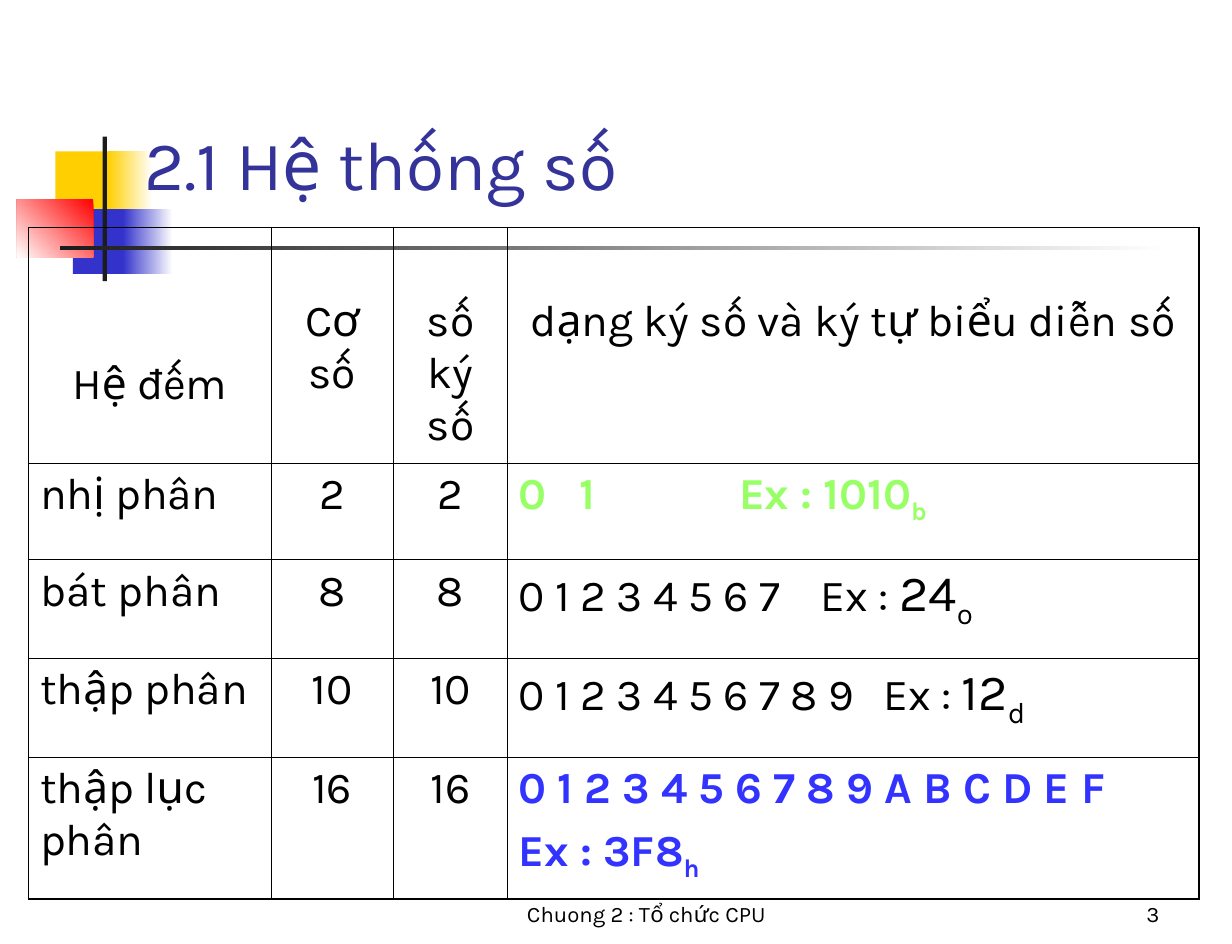
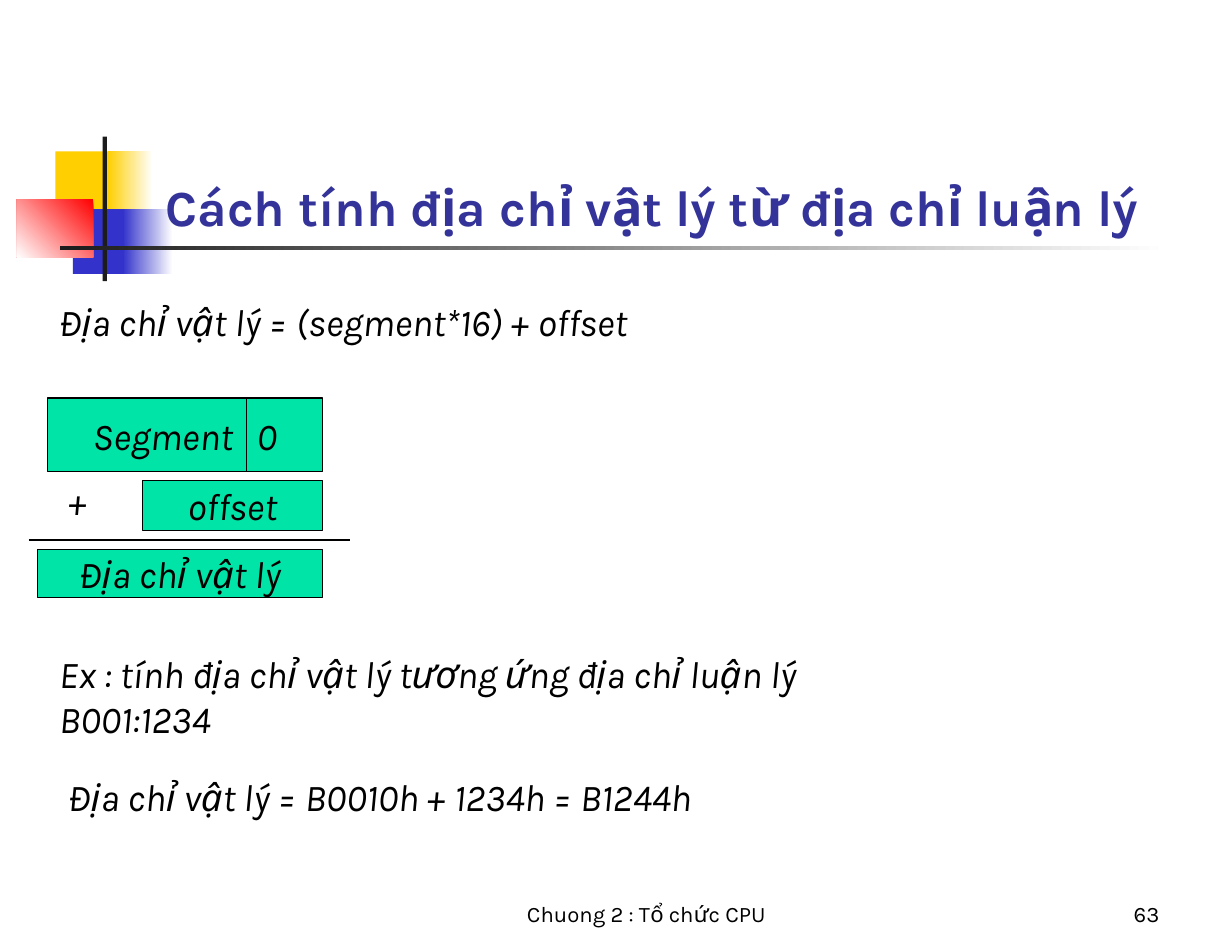
from typing import NamedTuple

import pptx
import pptx.dml.color
import pptx.enum.shapes
import pptx.enum.text
import pptx.oxml
import pptx.oxml.ns
import pptx.util
from pptx.dml.color import RGBColor
from pptx.util import Cm, Pt

FONT = "Karla"
BLACK = RGBColor(0x00, 0x00, 0x00)
WHITE = RGBColor(0xFF, 0xFF, 0xFF)
CHARCOAL = RGBColor(0x1C, 0x1C, 0x1C)
YELLOW = RGBColor(0xFF, 0xCF, 0x01)
BLUE = RGBColor(0x33, 0x33, 0xCC)
RED = RGBColor(0xFF, 0x00, 0x00)
NAVY = RGBColor(0x33, 0x33, 0x99)
LIME = RGBColor(0x99, 0xFF, 0x66)
BRIGHT_BLUE = RGBColor(0x33, 0x33, 0xFF)
MINT = RGBColor(0x00, 0xE4, 0xA8)

ALIGN = pptx.enum.text.PP_ALIGN
ANCHOR = pptx.enum.text.MSO_ANCHOR
RECT = pptx.enum.shapes.MSO_SHAPE.RECTANGLE
STRAIGHT = pptx.enum.shapes.MSO_CONNECTOR.STRAIGHT
FOOTER = "Chuong 2 : Tổ chức CPU"


class Box(NamedTuple):
    """Left, top, width and height in centimetres."""
    x: float
    y: float
    w: float
    h: float

    def emu(self) -> list[int]:
        return [Cm(v) for v in self]


class Style(NamedTuple):
    size: float
    color: RGBColor = BLACK
    bold: bool = False
    italic: bool = False
    align: ALIGN = ALIGN.LEFT


class Run(NamedTuple):
    text: str
    size: float | None = None
    subscript: bool = False


class Block(NamedTuple):
    """A decorative bar: plain, or a gradient from color to end."""
    box: Box
    color: RGBColor
    end: RGBColor | None = None
    angle: float = 180


class Label(NamedTuple):
    box: Box
    text: str


class NumberSystem(NamedTuple):
    name: str
    base: int
    lines: list[list[Run]]
    tabs: list[float]
    color: RGBColor = BLACK
    bold: bool = False


# Shared design
BLOCKS = [
    Block(Box(1.24, 3.38, 1.32, 1.45), YELLOW),
    Block(Box(2.41, 3.38, 1, 1.45), WHITE, YELLOW),
    Block(Box(1.63, 4.67, 1.27, 1.45), BLUE),
    Block(Box(2.74, 4.67, 1.12, 1.45), WHITE, BLUE),
    Block(Box(0.38, 4.45, 1.7, 1.3), RED, WHITE, 225),
    Block(Box(2.29, 3.05, 0.1, 3.23), CHARCOAL),
    Block(Box(1.35, 5.49, 24.74, 0.1), WHITE, CHARCOAL),
]
FOOTER_BOX = Box(10.08, 19.43, 8.71, 1.4)
NUMBER_BOX = Box(20.4, 19.43, 5.74, 1.4)
SMALL = Style(14)
BODY = Style(24, italic=True)
CELL = Style(28)

# Table of number systems
TABLE_BOX = Box(0.64, 5.08, 26.13, 15)
COLUMNS = [5.41, 2.74, 2.54, 15.44]
ROWS = [5.26, 2.16, 2.21, 2.21, 3.15]
HEADERS = [("Hệ đếm", 2.93), ("Cơ số", 1.53), ("số ký số", 1.53),
           ("dạng ký số và ký tự biểu diễn số", 1.53)]
SYSTEMS = [
    NumberSystem("nhị phân", 2,
                 [[Run("0\t1\tEx : 1010"), Run("b", subscript=True)]],
                 [1.35, 4.92], LIME, True),
    NumberSystem("bát phân", 8,
                 [[Run("0 1 2 3 4 5 6 7\tEx : "), Run("24", 32),
                   Run("o", 32, True)]], [6.74]),
    NumberSystem("thập phân", 10,
                 [[Run("0 1 2 3 4 5 6 7 8 9\tEx : "), Run("12", 32),
                   Run("d", 32, True)]], [8.14]),
    NumberSystem("thập lục phân", 16,
                 [[Run("0 1 2 3 4 5 6 7 8 9 A B C D E F")],
                  [Run("Ex : 3F8"), Run("h", subscript=True)]],
                 [], BRIGHT_BLUE, True),
]

# Address calculation
SEGMENT = Label(Box(1.07, 8.89, 6.13, 1.65), "Segment\t0")
ADDENDS = [
    Label(Box(3.18, 10.74, 4.02, 1.1), "offset"),
    Label(Box(0.84, 12.27, 6.36, 1.07), "Địa chỉ vật lý"),
]
NOTES = [
    Label(Box(1.07, 6.55, 18.62, 1.27),
          "Địa chỉ vật lý = (segment*16) + offset"),
    Label(Box(1.27, 10.54, 1.27, 1.27), "+"),
    Label(Box(1.07, 14.4, 18.21, 2.29),
          "Ex : tính địa chỉ vật lý tương ứng địa chỉ luận lý B001:1234"),
    Label(Box(1.27, 17.15, 18.62, 1.27),
          "Địa chỉ vật lý = B0010h + 1234h = B1244h"),
]


def write(tf, lines: list[list[Run]], style: Style, tabs=()) -> None:
    for i, runs in enumerate(lines):
        p = tf.add_paragraph() if i else tf.paragraphs[0]
        p.alignment = style.align
        if i:
            p.space_before = Pt(7)
        if tabs:
            tab_list = pptx.oxml.ns.qn("a:tabLst")
            stops = p._p.get_or_add_pPr().makeelement(tab_list, {})
            p._p.get_or_add_pPr().append(stops)
            for pos in tabs:
                stop = stops.makeelement(pptx.oxml.ns.qn("a:tab"),
                                         {"pos": str(Cm(pos)), "algn": "l"})
                stops.append(stop)
        p.font.name = FONT
        p.font.size = Pt(style.size)
        p.font.bold = style.bold
        p.font.italic = style.italic
        p.font.color.rgb = style.color
        for run in runs:
            r = p.add_run()
            r.text = run.text
            if run.size:
                r.font.size = Pt(run.size)
            if run.subscript:
                r._r.get_or_add_rPr().set("baseline", "-25000")


def add_text(s, box: Box, text: str, style: Style,
             anchor: ANCHOR = ANCHOR.TOP) -> None:
    tf = s.shapes.add_textbox(*box.emu()).text_frame
    tf.word_wrap = True
    tf.vertical_anchor = anchor
    write(tf, [[Run(text)]], style)


def add_block(s, block: Block) -> None:
    sp = s.shapes.add_shape(RECT, *block.box.emu())
    sp.shadow.inherit = False
    sp.line.fill.background()
    if block.end is None:
        sp.fill.solid()
        sp.fill.fore_color.rgb = block.color
        return
    sp.fill.gradient()
    sp.fill.gradient_angle = block.angle
    for stop, color in zip(sp.fill.gradient_stops, (block.color, block.end)):
        stop.color.rgb = color


def add_cell_box(s, label: Label, style: Style, tabs=()):
    sp = s.shapes.add_shape(RECT, *label.box.emu())
    sp.shadow.inherit = False
    sp.fill.solid()
    sp.fill.fore_color.rgb = MINT
    sp.line.color.rgb = BLACK
    sp.line.width = Pt(0.75)
    sp.text_frame.word_wrap = False
    sp.text_frame.vertical_anchor = ANCHOR.MIDDLE
    write(sp.text_frame, [[Run(label.text)]], style, tabs)
    return sp


def add_line(s, x1: float, y1: float, x2: float, y2: float) -> None:
    line = s.shapes.add_connector(STRAIGHT, Cm(x1), Cm(y1), Cm(x2), Cm(y2))
    line.line.color.rgb = BLACK
    line.line.width = Pt(0.75)
    sp_pr = line._element.spPr
    sp_pr.append(sp_pr.makeelement(pptx.oxml.ns.qn("a:effectLst"), {}))


def set_borders(cell, outer: dict[str, bool]) -> None:
    tc_pr = cell._tc.get_or_add_tcPr()
    for i, (side, is_outer) in enumerate(outer.items()):
        width = Pt(1.08 if is_outer else 0.45)
        tc_pr.insert(i, pptx.oxml.parse_xml(
            f'<a:ln{side} {pptx.oxml.ns.nsdecls("a")} w="{width}">'
            f'<a:solidFill><a:srgbClr val="{BLACK}"/></a:solidFill>'
            f'</a:ln{side}>'))


def add_slide(prs, title: str, box: Box, style: Style, number: int):
    s = prs.slides.add_slide(prs.slide_layouts[6])
    for block in BLOCKS:
        add_block(s, block)
    add_text(s, box, title, style, ANCHOR.BOTTOM)
    add_text(s, FOOTER_BOX, FOOTER, SMALL._replace(align=ALIGN.CENTER),
             ANCHOR.BOTTOM)
    add_text(s, NUMBER_BOX, str(number), SMALL._replace(align=ALIGN.RIGHT),
             ANCHOR.BOTTOM)
    return s


def add_systems_table(s) -> None:
    table = s.shapes.add_table(len(ROWS), len(COLUMNS),
                               *TABLE_BOX.emu()).table
    table.first_row = table.horz_banding = False
    for column, width in zip(table.columns, COLUMNS):
        column.width = Cm(width)
    for row, height in zip(table.rows, ROWS):
        row.height = Cm(height)

    centred = CELL._replace(align=ALIGN.CENTER)
    for col, (text, top) in enumerate(HEADERS):
        cell = table.cell(0, col)
        cell.margin_top = Cm(top)
        write(cell.text_frame, [[Run(text)]], centred)
    for row, system in enumerate(SYSTEMS, start=1):
        write(table.cell(row, 0).text_frame, [[Run(system.name)]], CELL)
        for col in (1, 2):
            write(table.cell(row, col).text_frame,
                  [[Run(str(system.base))]], centred)
        write(table.cell(row, 3).text_frame, system.lines,
              CELL._replace(color=system.color, bold=system.bold),
              system.tabs)

    last_row, last_col = len(ROWS) - 1, len(COLUMNS) - 1
    for row in range(len(ROWS)):
        for col in range(len(COLUMNS)):
            cell = table.cell(row, col)
            cell.fill.background()
            set_borders(cell, {"L": col == 0, "R": col == last_col,
                               "T": row == 0, "B": row == last_row})


def add_address_sum(s) -> None:
    sp = add_cell_box(s, SEGMENT, BODY, [3.66])
    sp.text_frame.margin_left = Cm(1)
    sp.text_frame.word_wrap = True
    box = SEGMENT.box
    add_line(s, 5.51, box.y, 5.51, box.y + box.h)
    for label in ADDENDS:
        add_cell_box(s, label, BODY._replace(align=ALIGN.CENTER))
    add_line(s, 0.64, 12.06, 7.82, 12.06)
    for note in NOTES:
        add_text(s, note.box, note.text, BODY)


def main() -> None:
    prs = pptx.Presentation()
    prs.slide_width, prs.slide_height = Cm(27.51), Cm(21.08)

    # Number systems
    s = add_slide(prs, "2.1 Hệ thống số", Box(2.97, 1.17, 23.44, 3.51),
                  Style(44, NAVY), 3)
    add_systems_table(s)

    # Physical address
    s = add_slide(prs, "Cách tính địa chỉ vật lý từ địa chỉ luận lý",
                  Box(3.45, 3.61, 23.44, 1.8), Style(32, NAVY, bold=True), 63)
    add_address_sum(s)

    prs.save("out.pptx")


if __name__ == "__main__":
    main()
